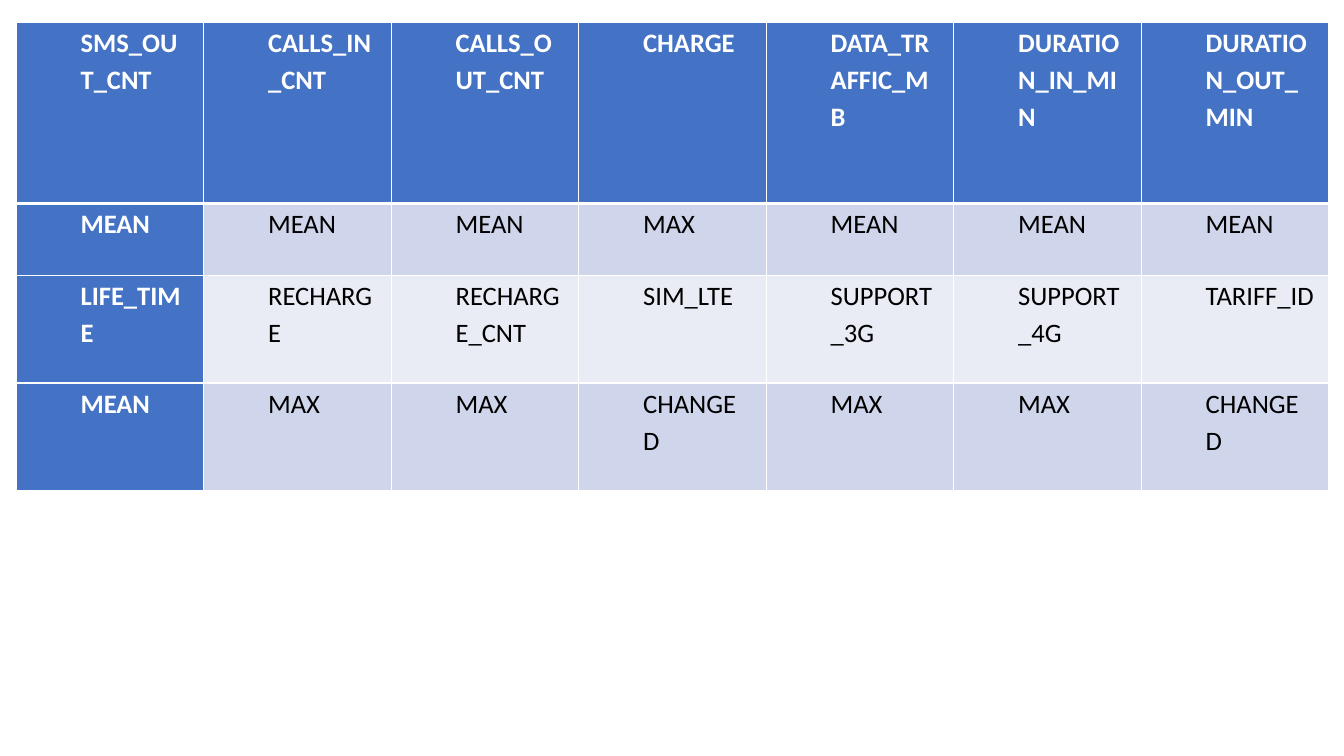
from lxml.etree import SubElement
from pptx import Presentation
from pptx.dml.color import RGBColor
from pptx.enum.text import PP_ALIGN
from pptx.oxml.ns import qn
from pptx.util import Inches, Pt

ROWS = [
    ["SMS_OUT_CNT", "CALLS_IN_CNT", "CALLS_OUT_CNT", "CHARGE",
     "DATA_TRAFFIC_MB", "DURATION_IN_MIN", "DURATION_OUT_MIN"],
    ["MEAN", "MEAN", "MEAN", "MAX", "MEAN", "MEAN", "MEAN"],
    ["LIFE_TIME", "RECHARGE", "RECHARGE_CNT", "SIM_LTE",
     "SUPPORT_3G", "SUPPORT_4G", "TARIFF_ID"],
    ["MEAN", "MAX", "MAX", "CHANGED", "MAX", "MAX", "CHANGED"],
]
ROW_HEIGHTS = [1.8, 0.71, 1.07, 1.07]
COLUMN_WIDTH = 1.86
LEFT, TOP = 0.16, 0.22

WHITE = RGBColor(0xFF, 0xFF, 0xFF)
BLACK = RGBColor(0, 0, 0)
HEADING_BLUE = RGBColor(0x44, 0x72, 0xC4)
BANDS = [RGBColor(0xE9, 0xEB, 0xF5), RGBColor(0xCF, 0xD5, 0xEA)]


def add_borders(cell, row):
    """Draw white cell edges, thick between the header and the body."""
    widths = {"L": 1, "R": 1, "T": 3 if row == 1 else 1, "B": 3 if row == 0 else 1}
    properties = cell._tc.get_or_add_tcPr()
    for side, width in widths.items():
        line = SubElement(properties, qn(f"a:ln{side}"), w=str(Pt(width)))
        fill = SubElement(line, qn("a:solidFill"))
        SubElement(fill, qn("a:srgbClr"), val=str(WHITE))


def fill_cell(cell, text, row, column):
    heading = row == 0 or column == 0
    add_borders(cell, row)
    cell.fill.solid()
    cell.fill.fore_color.rgb = HEADING_BLUE if heading else BANDS[row % 2]
    cell.margin_left = cell.margin_right = Inches(0.14)
    cell.margin_top = cell.margin_bottom = 0
    cell.text = text
    para = cell.text_frame.paragraphs[0]
    para.alignment = PP_ALIGN.JUSTIFY
    para.line_spacing = 1.15
    indents = para._p.get_or_add_pPr()
    indents.set("marL", str(Inches(0.5)))
    indents.set("indent", "0")
    font = para.font
    font.name, font.size, font.bold = "Calibri", Pt(19), heading
    font.color.rgb = WHITE if heading else BLACK


def main():
    deck = Presentation()
    deck.slide_width, deck.slide_height = Inches(13.33), Inches(7.5)
    page = deck.slides.add_slide(deck.slide_layouts[6])
    column_count = len(ROWS[0])
    table = page.shapes.add_table(
        len(ROWS), column_count, Inches(LEFT), Inches(TOP),
        Inches(COLUMN_WIDTH * column_count), Inches(sum(ROW_HEIGHTS))).table
    table.first_col = True
    for column in table.columns:
        column.width = Inches(COLUMN_WIDTH)
    for row, (texts, height) in enumerate(zip(ROWS, ROW_HEIGHTS)):
        table.rows[row].height = Inches(height)
        for column, text in enumerate(texts):
            fill_cell(table.cell(row, column), text, row, column)
    deck.save("out.pptx")


if __name__ == "__main__":
    main()
